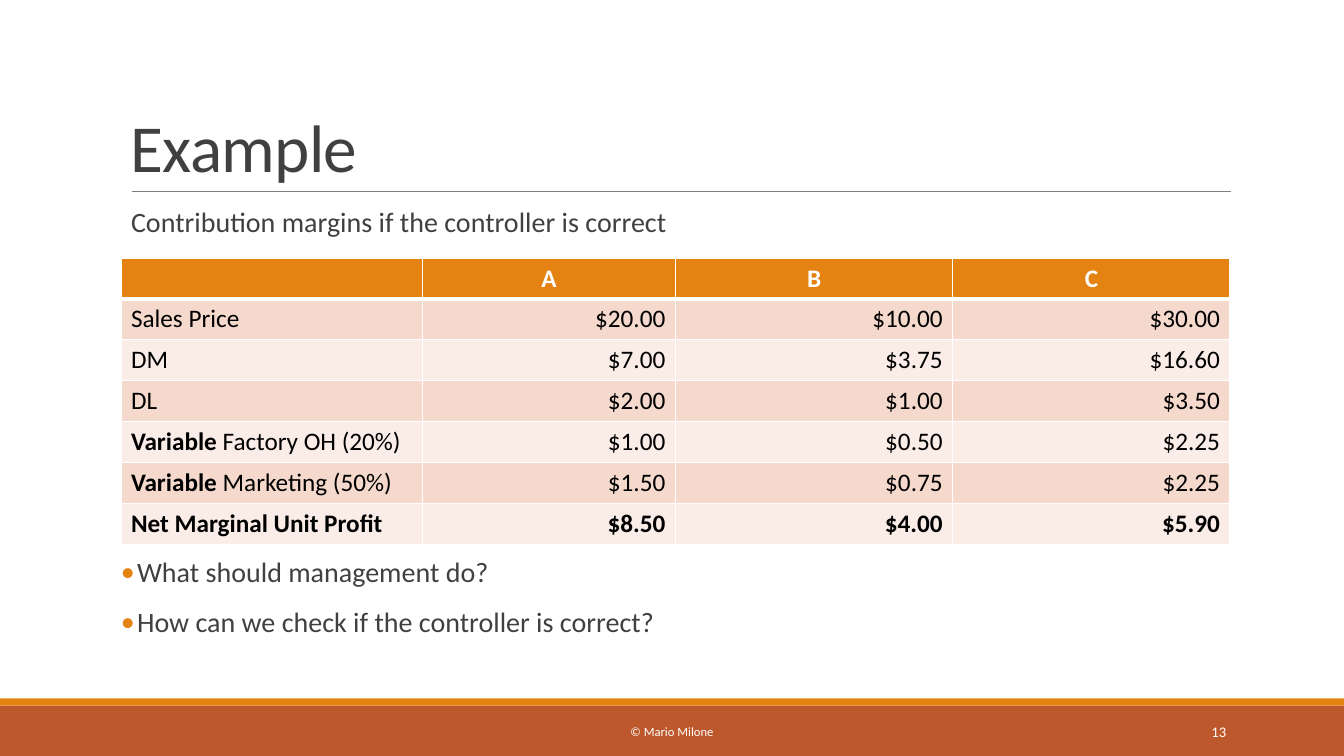
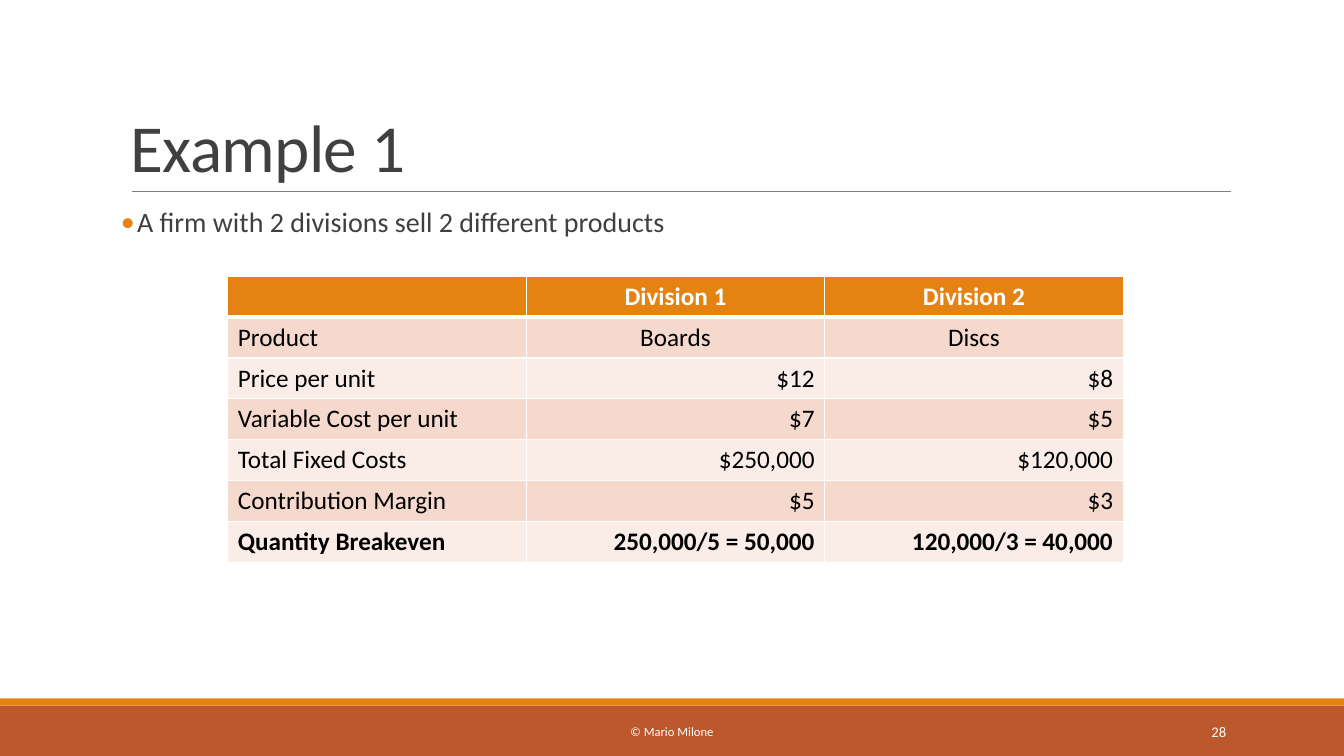
"""Build two example slides with a titled table, bullets and a shared footer band."""
from lxml import etree
from pptx import Presentation
from pptx import util as u
from pptx.dml.color import RGBColor
from pptx.enum import shapes, text
from pptx.oxml.ns import qn

Inches, Pt = u.Inches, u.Pt
FONT = "Calibri"
ORANGE = RGBColor(0xE4, 0x83, 0x12)
RUST = RGBColor(0xBD, 0x58, 0x2C)
GRAY = RGBColor(0x80, 0x80, 0x80)
DARK = RGBColor(0x40, 0x40, 0x40)
BLACK = RGBColor(0, 0, 0)
WHITE = RGBColor(0xFF, 0xFF, 0xFF)
STRIPES = (RGBColor(0xFA, 0xED, 0xE7), RGBColor(0xF5, 0xD9, 0xCC))
LEFT, CENTER, RIGHT = text.PP_ALIGN.LEFT, text.PP_ALIGN.CENTER, text.PP_ALIGN.RIGHT
TOP, MIDDLE, BOTTOM = text.MSO_ANCHOR.TOP, text.MSO_ANCHOR.MIDDLE, text.MSO_ANCHOR.BOTTOM

WIDTH, HEIGHT = 13.33, 7.5
MARGIN, CONTENT_WIDTH = 1.2, 11
BODY_TOP = 2.02
TABLE_HEIGHT = 2.84
FOOTER = "© Mario Milone"

SLIDES = [
    {
        "title": "Example",
        "number": "13",
        "bodies": [
            (BODY_TOP, False, ["Contribution margins if the controller is correct"]),
            (5.49, True, ["What should management do?",
                          "How can we check if the controller is correct?"]),
        ],
        "table_at": (1.2, 2.56),
        "columns": [2.99, 2.51, 2.75, 2.75],
        "rows": [
            ["", "A", "B", "C"],
            ["Sales Price", "$20.00", "$10.00", "$30.00"],
            ["DM", "$7.00", "$3.75", "$16.60"],
            ["DL", "$2.00", "$1.00", "$3.50"],
            [("Variable", " Factory OH (20%)"), "$1.00", "$0.50", "$2.25"],
            [("Variable", " Marketing (50%)"), "$1.50", "$0.75", "$2.25"],
            ["Net Marginal Unit Profit", "$8.50", "$4.00", "$5.90"],
        ],
    },
    {
        "title": "Example 1",
        "number": "28",
        "bodies": [
            (BODY_TOP, True, ["A firm with 2 divisions sell 2 different products"]),
        ],
        "table_at": (2.26, 2.74),
        "columns": [2.96] * 3,
        "rows": [
            ["", "Division 1", "Division 2"],
            ["Product", "Boards", "Discs"],
            ["Price per unit", "$12", "$8"],
            ["Variable Cost per unit", "$7", "$5"],
            ["Total Fixed Costs", "$250,000", "$120,000"],
            ["Contribution Margin", "$5", "$3"],
            ["Quantity Breakeven", "250,000/5 = 50,000", "120,000/3 = 40,000"],
        ],
    },
]


def set_attrs(obj, **values):
    for name, value in values.items():
        setattr(obj, name, value)


def add_run(p, content, size, color, bold=False):
    r = p.add_run()
    r.text = content
    set_attrs(r.font, name=FONT, size=Pt(size), bold=bold)
    r.font.color.rgb = color
    return r


def add_box(s, box, anchor=TOP, **margins):
    tf = s.shapes.add_textbox(*map(Inches, box)).text_frame
    set_attrs(tf, word_wrap=True, vertical_anchor=anchor, **margins)
    return tf


def add_band(s, top, height, color):
    sp = s.shapes.add_shape(shapes.MSO_SHAPE.RECTANGLE,
                            *map(Inches, (0, top, WIDTH, height)))
    sp.shadow.inherit = False
    sp.fill.solid()
    sp.fill.fore_color.rgb = color
    sp.line.fill.background()


def add_frame(s, title, number):
    add_band(s, 7, 0.5, RUST)
    add_band(s, 6.93, 0.07, ORANGE)
    rule = s.shapes.add_connector(shapes.MSO_CONNECTOR.STRAIGHT,
                                  *map(Inches, (1.31, 1.9, 12.21, 1.9)))
    rule.line.color.rgb = GRAY
    rule.line.width = Pt(0.5)
    etree.SubElement(rule._element.spPr, qn("a:effectLst"))

    p = add_box(s, (MARGIN, 0.31, CONTENT_WIDTH, 1.59), BOTTOM).paragraphs[0]
    p.line_spacing = 0.85
    r = add_run(p, title, 48, DARK)
    r.font._element.set("spc", "-50")

    for content, left, width, size, align in (
            (FOOTER, 4.03, 5.27, 9, CENTER), (number, 10.83, 1.43, 10.5, RIGHT)):
        p = add_box(s, (left, 7.06, width, 0.4), MIDDLE).paragraphs[0]
        p.alignment = align
        add_run(p, content, size, WHITE)


def add_body(s, top, bulleted, lines):
    box = (MARGIN, top, CONTENT_WIDTH, 0.5 * len(lines))
    tf = add_box(s, box, margin_left=0, margin_right=0)
    indent = Inches(0.16 if bulleted else 0.1)
    for i, line in enumerate(lines):
        p = tf.add_paragraph() if i else tf.paragraphs[0]
        set_attrs(p, line_spacing=0.9, space_before=Pt(12 if i else 0), space_after=Pt(2))
        pPr = p._p.get_or_add_pPr()
        pPr.set("marL", str(indent))
        if bulleted:
            pPr.set("indent", str(-indent))
            color = etree.SubElement(pPr, qn("a:buClr"))
            etree.SubElement(color, qn("a:srgbClr"), val=str(ORANGE))
            etree.SubElement(pPr, qn("a:buFont"), typeface=FONT)
            etree.SubElement(pPr, qn("a:buChar"), char="•")
        add_run(p, line, 20, DARK)


def set_borders(cell, **widths):
    tcPr = cell._tc.get_or_add_tcPr()
    for i, (side, width) in enumerate(widths.items()):
        ln = etree.Element(qn(f"a:ln{side}"), w=str(Pt(width)))
        fill = etree.SubElement(ln, qn("a:solidFill"))
        etree.SubElement(fill, qn("a:srgbClr"), val=str(WHITE))
        tcPr.insert(i, ln)


def alignment(row, col, value):
    if col == 0:
        return LEFT
    return RIGHT if row and value[-1].isdigit() else CENTER


def add_data_table(s, at, columns, rows):
    box = (*at, sum(columns), TABLE_HEIGHT)
    table = s.shapes.add_table(len(rows), len(columns), *map(Inches, box)).table
    table.horz_banding = False
    for column, width in zip(table.columns, columns):
        column.width = Inches(width)
    for i, values in enumerate(rows):
        table.rows[i].height = Inches(TABLE_HEIGHT / len(rows))
        bold_row = i in (0, len(rows) - 1)
        for j, value in enumerate(values):
            cell = table.cell(i, j)
            cell.fill.solid()
            cell.fill.fore_color.rgb = STRIPES[i % 2] if i else ORANGE
            set_borders(cell, L=1, R=1, T=3 if i == 1 else 1, B=1 if i else 3)
            p = cell.text_frame.paragraphs[0]
            p.alignment = alignment(i, j, value)
            parts = value if isinstance(value, tuple) else ("", value)
            for part, bold in zip(parts, (True, bold_row)):
                if part:
                    add_run(p, part, 18, BLACK if i else WHITE, bold)


def main():
    prs = Presentation()
    set_attrs(prs, slide_width=Inches(WIDTH), slide_height=Inches(HEIGHT))
    for content in SLIDES:
        s = prs.slides.add_slide(prs.slide_layouts[6])
        add_frame(s, content["title"], content["number"])
        for body in content["bodies"]:
            add_body(s, *body)
        add_data_table(s, content["table_at"], content["columns"], content["rows"])
    prs.save("out.pptx")


if __name__ == "__main__":
    main()
